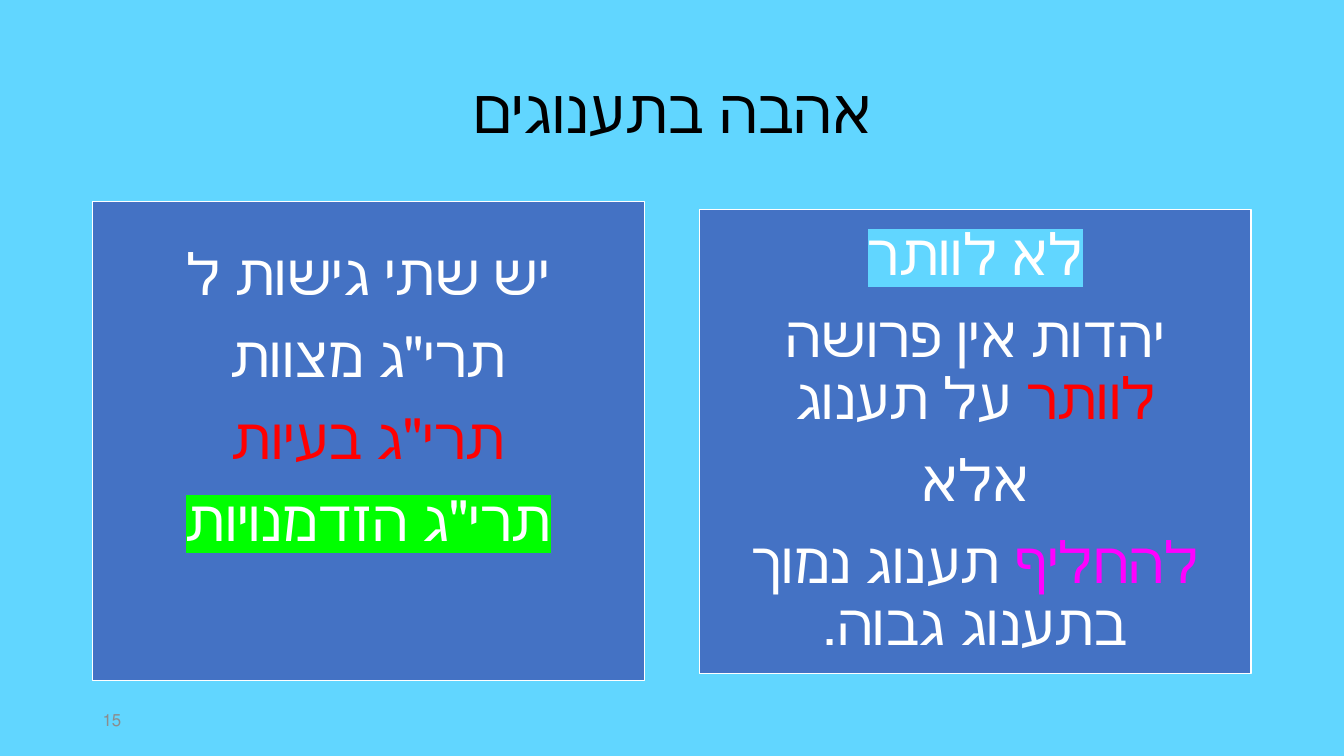
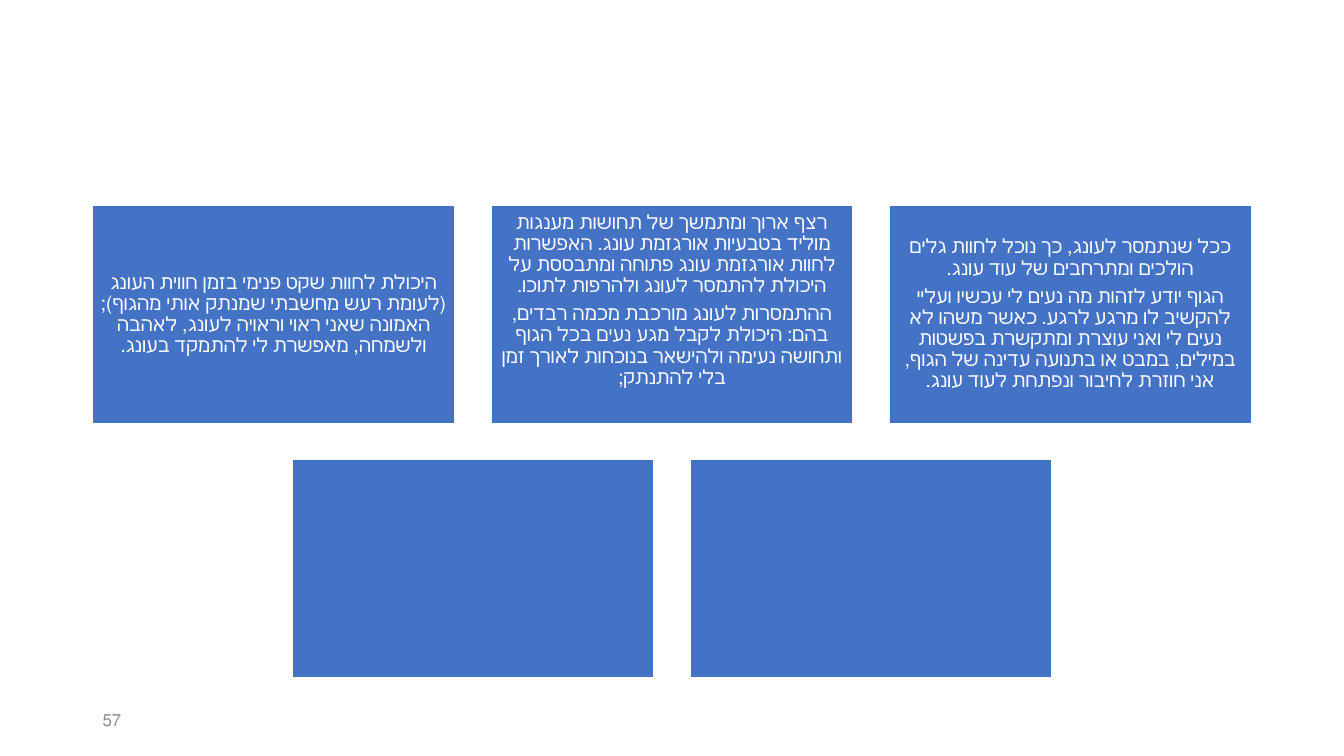
from lxml import etree
from pptx import Presentation
from pptx.dml.color import RGBColor
from pptx.enum.shapes import MSO_SHAPE
from pptx.enum.text import MSO_ANCHOR, PP_ALIGN
from pptx.oxml.ns import qn
from pptx.util import Inches, Pt

RECTANGLE = MSO_SHAPE.RECTANGLE
MIDDLE = MSO_ANCHOR.MIDDLE
CENTER, LEFT = PP_ALIGN.CENTER, PP_ALIGN.LEFT

SKY, BLUE, WHITE, BLACK, GRAY = "61D6FF", "4472C4", "FFFFFF", "000000", "8C8C8C"
RED, MAGENTA, GREEN = "FF0000", "FF00FF", "00FF00"
FONT = "Calibri"
SLIDE_WIDTH = 13.33
MARGIN = 0.92


def rgb(value):
    return RGBColor.from_string(value)


def write_rtl(shape, paragraphs, size, color, align=CENTER):
    """Fill a shape with right-to-left text; a paragraph is a string or a
    list of (text, colour, highlight) runs, None meaning the default."""
    frame = shape.text_frame
    frame.word_wrap = True
    frame.vertical_anchor = MIDDLE
    for index, runs in enumerate(paragraphs):
        paragraph = frame.paragraphs[0] if index == 0 else frame.add_paragraph()
        paragraph.alignment = align
        paragraph.line_spacing = 0.9
        if index < len(paragraphs) - 1:
            paragraph.space_after = Pt(round(0.35 * size, 1))
        paragraph._p.get_or_add_pPr().set("rtl", "1")
        paragraph.font.name = FONT
        paragraph.font.size = Pt(size)
        paragraph.font.color.rgb = rgb(color)
        if isinstance(runs, str):
            runs = [(runs, None, None)]
        for text, run_color, highlight in runs:
            run = paragraph.add_run()
            run.text = text
            run.font.color.rgb = rgb(run_color or color)
            if highlight:
                mark = etree.SubElement(run.font._element, qn("a:highlight"))
                etree.SubElement(mark, qn("a:srgbClr")).set("val", highlight)


def add_panel(slide, box, paragraphs, size, inset, bottom_space=0):
    """Add a blue panel; bottom_space lifts its centred text."""
    panel = slide.shapes.add_shape(RECTANGLE, *map(Inches, box))
    panel.shadow.inherit = False
    panel.fill.solid()
    panel.fill.fore_color.rgb = rgb(BLUE)
    panel.line.color.rgb = rgb(WHITE)
    panel.line.width = Pt(1)
    frame = panel.text_frame
    frame.margin_left = frame.margin_right = frame.margin_top = Inches(inset)
    frame.margin_bottom = Inches(inset + bottom_space)
    write_rtl(panel, paragraphs, size, WHITE)


prs = Presentation()
prs.slide_width = Inches(SLIDE_WIDTH)
prs.slide_height = Inches(7.5)

slides = []
for background, number in [(SKY, "15"), (WHITE, "57")]:
    slide = prs.slides.add_slide(prs.slide_layouts[6])
    slide.background.fill.solid()
    slide.background.fill.fore_color.rgb = rgb(background)
    page_number = slide.shapes.add_textbox(
        Inches(MARGIN), Inches(6.95), Inches(3), Inches(0.4))
    write_rtl(page_number, [number], 12, GRAY, LEFT)
    slides.append(slide)
love_slide, pleasure_slide = slides

# Love through pleasures
title = love_slide.shapes.add_textbox(
    Inches(MARGIN), Inches(0.4), Inches(11.5), Inches(1.45))
write_rtl(title, ["אהבה בתענוגים"], 44, BLACK)

approaches = [
    "יש שתי גישות ל",
    "תרי\"ג מצוות",
    [("תרי\"ג בעיות", RED, None)],
    [("תרי\"ג הזדמנויות", None, GREEN)],
]
no_giving_up = [
    [("לא לוותר", None, SKY)],
    [("יהדות אין פרושה ", None, None), ("לוותר", RED, None),
     (" על תענוג", None, None)],
    "אלא",
    [("להחליף", MAGENTA, None), (" תענוג נמוך בתענוג גבוה.", None, None)],
]
add_panel(love_slide, (MARGIN, 2, 5.47, 4.75), approaches, 41, 0.17, 0.82)
add_panel(love_slide, (6.94, 2.08, 5.47, 4.6), no_giving_up, 41, 0.17)

# Giving oneself to pleasure: rows of (paragraphs, space below the text)
card_rows = [
    [
        (["היכולת לחוות שקט פנימי בזמן חווית העונג (לעומת רעש מחשבתי שמנתק "
          "אותי מהגוף); האמונה שאני ראוי וראויה לעונג, לאהבה ולשמחה, מאפשרת "
          "לי להתמקד בעונג."], 0),
        (["רצף ארוך ומתמשך של תחושות מענגות מוליד בטבעיות אורגזמת עונג. "
          "האפשרות לחוות אורגזמת עונג פתוחה ומתבססת על היכולת להתמסר לעונג "
          "ולהרפות לתוכו.",
          "ההתמסרות לעונג מורכבת מכמה רבדים, בהם: היכולת לקבל מגע נעים בכל "
          "הגוף ותחושה נעימה ולהישאר בנוכחות לאורך זמן בלי להתנתק;"], 0.28),
        (["ככל שנתמסר לעונג, כך נוכל לחוות גלים הולכים ומתרחבים של עוד עונג.",
          "הגוף יודע לזהות מה נעים לי עכשיו ועליי להקשיב לו מרגע לרגע. כאשר "
          "משהו לא נעים לי ואני עוצרת ומתקשרת בפשטות במילים, במבט או בתנועה "
          "עדינה של הגוף, אני חוזרת לחיבור ונפתחת לעוד עונג."], 0),
    ],
    [([], 0), ([], 0)],
]
CARD_WIDTH, CARD_HEIGHT, GAP = 3.59, 2.16, 0.36
for row, cards in enumerate(card_rows):
    row_width = len(cards) * (CARD_WIDTH + GAP) - GAP
    row_left = (SLIDE_WIDTH - row_width) / 2
    top = 2.04 + row * (CARD_HEIGHT + GAP)
    for column, (paragraphs, bottom_space) in enumerate(cards):
        left = row_left + column * (CARD_WIDTH + GAP)
        add_panel(pleasure_slide, (left, top, CARD_WIDTH, CARD_HEIGHT),
                  paragraphs, 14, 0.06, bottom_space)

prs.save("out.pptx")
